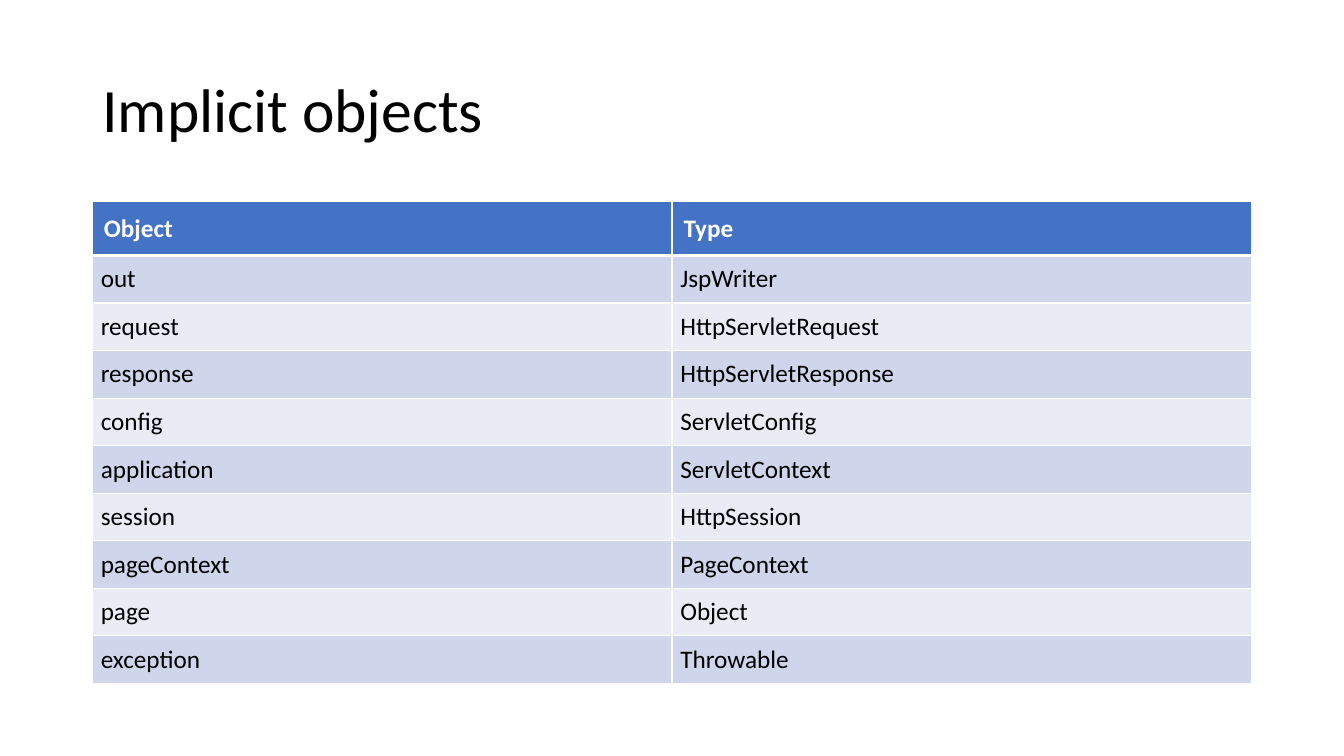
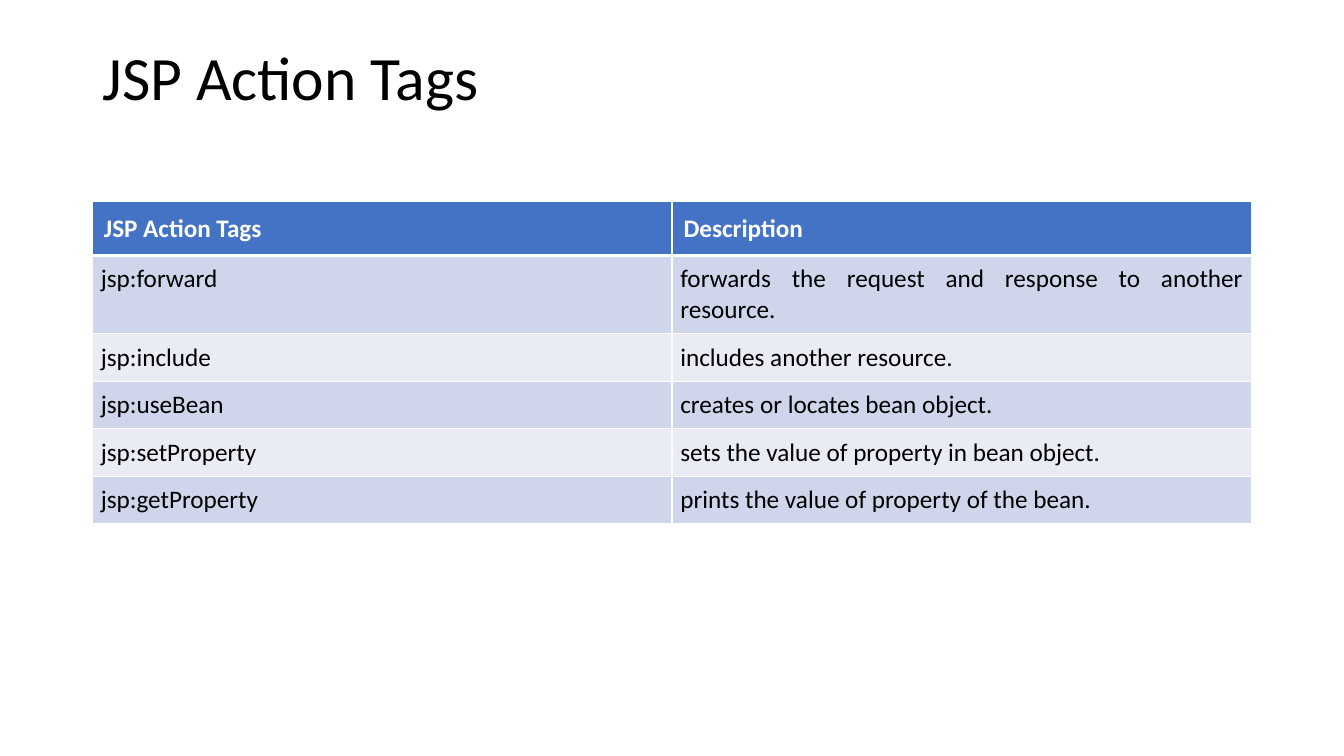
from dataclasses import dataclass

import lxml.etree
import pptx
import pptx.dml.color
import pptx.enum.text
import pptx.oxml.ns
import pptx.presentation
import pptx.slide
import pptx.table
import pptx.text.text
import pptx.util

RGB = pptx.dml.color.RGBColor
Align = pptx.enum.text.PP_ALIGN

# Shared style
FONT = "Calibri"
BLACK = RGB(0x00, 0x00, 0x00)
WHITE = RGB(0xFF, 0xFF, 0xFF)
BLUE = RGB(0x44, 0x72, 0xC4)
BANDS = (RGB(0xCF, 0xD5, 0xEA), RGB(0xE9, 0xEB, 0xF5))

# Shared layout in px, 96 to the inch
SCALE = 9525
LEFT, WIDTH = 88, 1104
TITLE_TOP, TITLE_HIGH = 38, 139
GRID_TOP, HEAD_HIGH, ROW_HIGH = 192, 51, 45
HEAD_PAD, ROW_PAD = 11, 8
THIN, THICK = 1, 3


@dataclass(frozen=True)
class Page:
    title: str
    head: tuple[str, ...]
    rows: tuple[tuple[str, ...], ...]
    align: Align = Align.LEFT
    foot: int = 5  # space below the title text


PAGES = (
    Page(
        "Implicit objects",
        ("Object", "Type"),
        (
            ("out", "JspWriter"),
            ("request", "HttpServletRequest"),
            ("response", "HttpServletResponse"),
            ("config", "ServletConfig"),
            ("application", "ServletContext"),
            ("session", "HttpSession"),
            ("pageContext", "PageContext"),
            ("page", "Object"),
            ("exception", "Throwable"),
        ),
    ),
    Page(
        "JSP Action Tags",
        ("JSP Action Tags", "Description"),
        (
            ("jsp:forward", "forwards the request and response to another resource."),
            ("jsp:include", "includes another resource."),
            ("jsp:useBean", "creates or locates bean object."),
            ("jsp:setProperty", "sets the value of property in bean object."),
            ("jsp:getProperty", "prints the value of property of the bean."),
        ),
        align=Align.JUSTIFY,
        foot=67,
    ),
)


def px(size: int) -> pptx.util.Emu:
    return pptx.util.Emu(size * SCALE)


def write(frame: pptx.text.text.TextFrame, text: str, *, size: int = 18,
          color: RGB = BLACK, bold: bool = False, align: Align = Align.LEFT,
          line: float = 1.0) -> None:
    para = frame.paragraphs[0]
    para.alignment = align
    para.line_spacing = line
    run = para.add_run()
    run.text = text
    font = run.font
    font.name, font.size, font.bold = FONT, pptx.util.Pt(size), bold
    font.color.rgb = color


def edge(cell: pptx.table._Cell, top: int, base: int) -> None:
    """Draw white borders, with the top and base widths in points."""
    props = cell._tc.get_or_add_tcPr()
    qn = pptx.oxml.ns.qn
    for side, width in (("L", THIN), ("R", THIN), ("T", top), ("B", base)):
        line = lxml.etree.SubElement(
            props, qn(f"a:ln{side}"), w=str(pptx.util.Pt(width)))
        fill = lxml.etree.SubElement(line, qn("a:solidFill"))
        lxml.etree.SubElement(fill, qn("a:srgbClr"), val=str(WHITE))


def add_title(slide: pptx.slide.Slide, page: Page) -> None:
    title = slide.shapes.title
    title.left, title.top = px(LEFT), px(TITLE_TOP)
    title.width, title.height = px(WIDTH), px(TITLE_HIGH)
    frame = title.text_frame
    frame.word_wrap = True
    frame.auto_size = pptx.enum.text.MSO_AUTO_SIZE.NONE
    frame.vertical_anchor = pptx.enum.text.MSO_ANCHOR.MIDDLE
    frame.margin_bottom = px(page.foot)
    write(frame, page.title, size=44, align=page.align, line=0.9)


def add_grid(slide: pptx.slide.Slide, page: Page) -> None:
    rows = (page.head, *page.rows)
    high = HEAD_HIGH + ROW_HIGH * len(page.rows)
    grid = slide.shapes.add_table(
        len(rows), len(page.head),
        px(LEFT), px(GRID_TOP), px(WIDTH), px(high)).table
    grid.horz_banding = False
    for r, row in enumerate(rows):
        head = r == 0
        grid.rows[r].height = px(HEAD_HIGH if head else ROW_HIGH)
        pad = px(HEAD_PAD if head else ROW_PAD)
        for c, text in enumerate(row):
            cell = grid.cell(r, c)
            cell.margin_left = cell.margin_right = pad
            cell.margin_top = cell.margin_bottom = pad
            # The header is set off by a thick rule
            edge(cell, THICK if r == 1 else THIN, THICK if head else THIN)
            cell.fill.solid()
            cell.fill.fore_color.rgb = BLUE if head else BANDS[(r - 1) % 2]
            write(cell.text_frame, text, bold=head,
                  color=WHITE if head else BLACK,
                  align=Align.LEFT if head else Align.JUSTIFY)


def add_page(deck: pptx.presentation.Presentation, page: Page) -> None:
    slide = deck.slides.add_slide(deck.slide_layouts.get_by_name("Title Only"))
    add_title(slide, page)
    add_grid(slide, page)


def main() -> None:
    deck = pptx.Presentation()
    deck.slide_width, deck.slide_height = px(1280), px(720)
    for page in PAGES:
        add_page(deck, page)
    deck.save("out.pptx")


if __name__ == "__main__":
    main()
